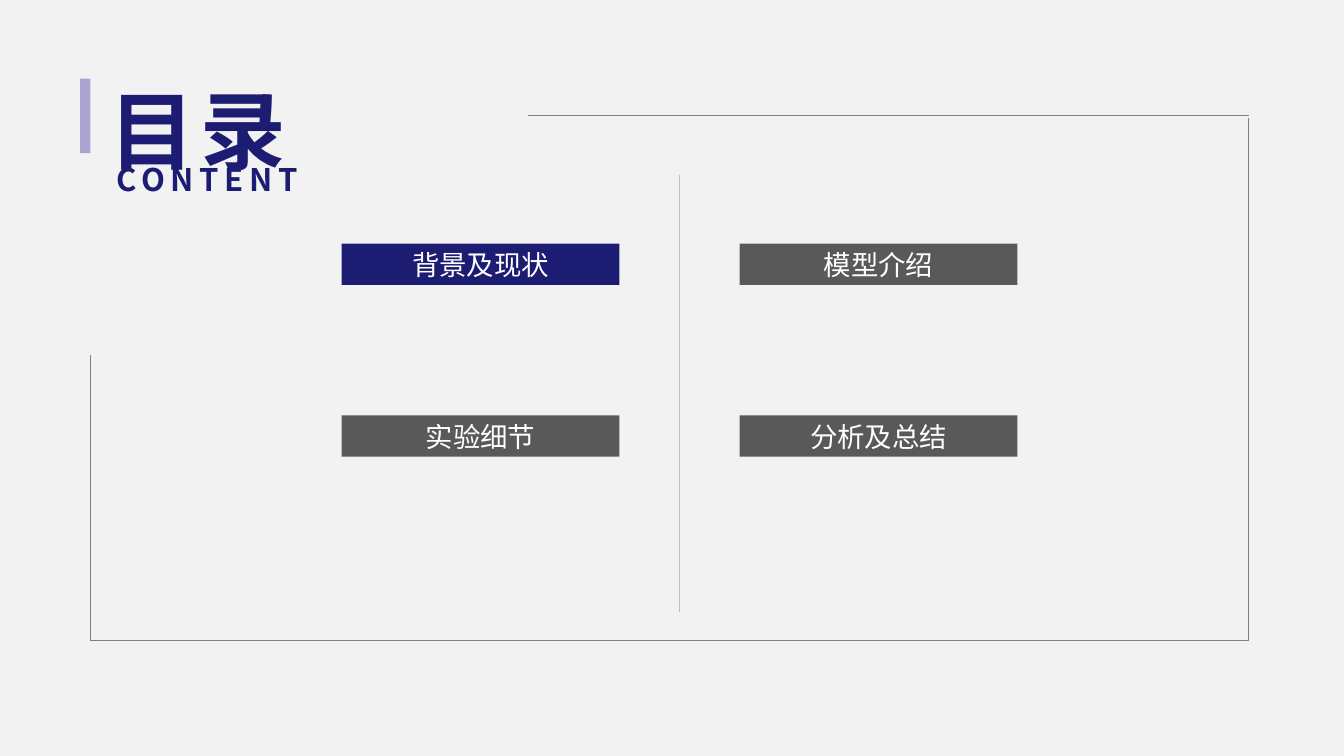
from lxml import etree
from pptx import Presentation
from pptx.dml.color import RGBColor
from pptx.enum.shapes import MSO_CONNECTOR, MSO_SHAPE
from pptx.enum.text import MSO_ANCHOR, PP_ALIGN
from pptx.oxml.ns import qn
from pptx.util import Cm, Pt

STRAIGHT = MSO_CONNECTOR.STRAIGHT
RECTANGLE = MSO_SHAPE.RECTANGLE
MIDDLE = MSO_ANCHOR.MIDDLE
LEFT, CENTER, JUSTIFY = PP_ALIGN.LEFT, PP_ALIGN.CENTER, PP_ALIGN.JUSTIFY

FONT = "Noto Sans CJK SC"
COLORS = {
    "background": "F2F2F2",
    "navy": "1C1C73",
    "lilac": "AAA4D1",
    "gray": "595959",
    "white": "FFFFFF",
    "frame": "808080",
    "divider": "BFBFBF",
}

# Headings: text, (left, top, width, height) in cm, size, alignment
HEADINGS = [
    ("目录", (2.51, 1.84, 10.21, 2.57), 61.2, LEFT),
    ("CONTENT", (2.69, 3.91, 5.4, 1.02), 22.2, JUSTIFY),
]
LETTER_SPACING = 4
ACCENT_BAR = (2.02, 1.98, 0.26, 1.88)

SECTIONS = [["背景及现状", "模型介绍"], ["实验细节", "分析及总结"]]
CURRENT_SECTION = "背景及现状"
SECTION_LEFT, SECTION_TOP = 8.61, 6.14
SECTION_WIDTH, SECTION_HEIGHT = 7, 1.04
COLUMN_STEP, ROW_STEP = 10.03, 4.33

# Lines: start x, start y, end x, end y in cm, colour
FRAME_LEFT, FRAME_RIGHT, FRAME_TOP, FRAME_BOTTOM = 2.28, 31.47, 2.91, 16.13
LINES = [
    (17.12, 4.42, 17.12, 15.42, "divider"),
    (13.31, FRAME_TOP, FRAME_RIGHT, FRAME_TOP, "frame"),
    (FRAME_RIGHT, 2.97, FRAME_RIGHT, FRAME_BOTTOM, "frame"),
    (FRAME_RIGHT, FRAME_BOTTOM, FRAME_LEFT, FRAME_BOTTOM, "frame"),
    (FRAME_LEFT, FRAME_BOTTOM, FRAME_LEFT, 8.94, "frame"),
]


def rgb(name):
    return RGBColor.from_string(COLORS[name])


def write(frame, text, size, color, alignment, bold=False, spacing=0):
    """Fill the frame's first paragraph, for Latin and East Asian letters."""
    para = frame.paragraphs[0]
    para.text = text
    para.alignment = alignment
    font = para.font
    font.name, font.size, font.bold = FONT, Pt(size), bold
    font.color.rgb = rgb(color)
    defaults = para._p.pPr.find(qn("a:defRPr"))
    latin = defaults.find(qn("a:latin"))
    east_asian = etree.Element(qn("a:ea"), typeface=FONT)
    latin.addnext(east_asian)
    if spacing:
        defaults.set("spc", str(spacing * 100))


def add_rectangle(page, place, color):
    shape = page.shapes.add_shape(RECTANGLE, *map(Cm, place))
    shape.shadow.inherit = False
    shape.fill.solid()
    shape.fill.fore_color.rgb = rgb(color)
    shape.line.fill.background()
    return shape


def add_heading(page, text, place, size, alignment):
    frame = page.shapes.add_textbox(*map(Cm, place)).text_frame
    frame.word_wrap = True
    write(frame, text, size, "navy", alignment, True, LETTER_SPACING)


def add_section(page, text, row, column):
    place = (SECTION_LEFT + column * COLUMN_STEP, SECTION_TOP + row * ROW_STEP,
             SECTION_WIDTH, SECTION_HEIGHT)
    color = "navy" if text == CURRENT_SECTION else "gray"
    frame = add_rectangle(page, place, color).text_frame
    frame.word_wrap = False
    frame.vertical_anchor = MIDDLE
    frame.margin_left = frame.margin_right = Cm(0.33)
    frame.margin_top = frame.margin_bottom = Cm(0.18)
    write(frame, text, 19.6, "white", CENTER)


def add_line(page, *ends, color):
    line = page.shapes.add_connector(STRAIGHT, *map(Cm, ends))
    line.line.color.rgb = rgb(color)
    line.line.width = Pt(0.5)
    etree.SubElement(line._element.spPr, qn("a:effectLst"))


def main():
    deck = Presentation()
    deck.slide_width, deck.slide_height = Cm(33.87), Cm(19.05)
    page = deck.slides.add_slide(deck.slide_layouts[6])
    page.background.fill.solid()
    page.background.fill.fore_color.rgb = rgb("background")

    for heading in HEADINGS:
        add_heading(page, *heading)
    add_rectangle(page, ACCENT_BAR, "lilac")
    for row, titles in enumerate(SECTIONS):
        for column, title in enumerate(titles):
            add_section(page, title, row, column)
    for *ends, color in LINES:
        add_line(page, *ends, color=color)

    deck.save("out.pptx")


if __name__ == "__main__":
    main()
